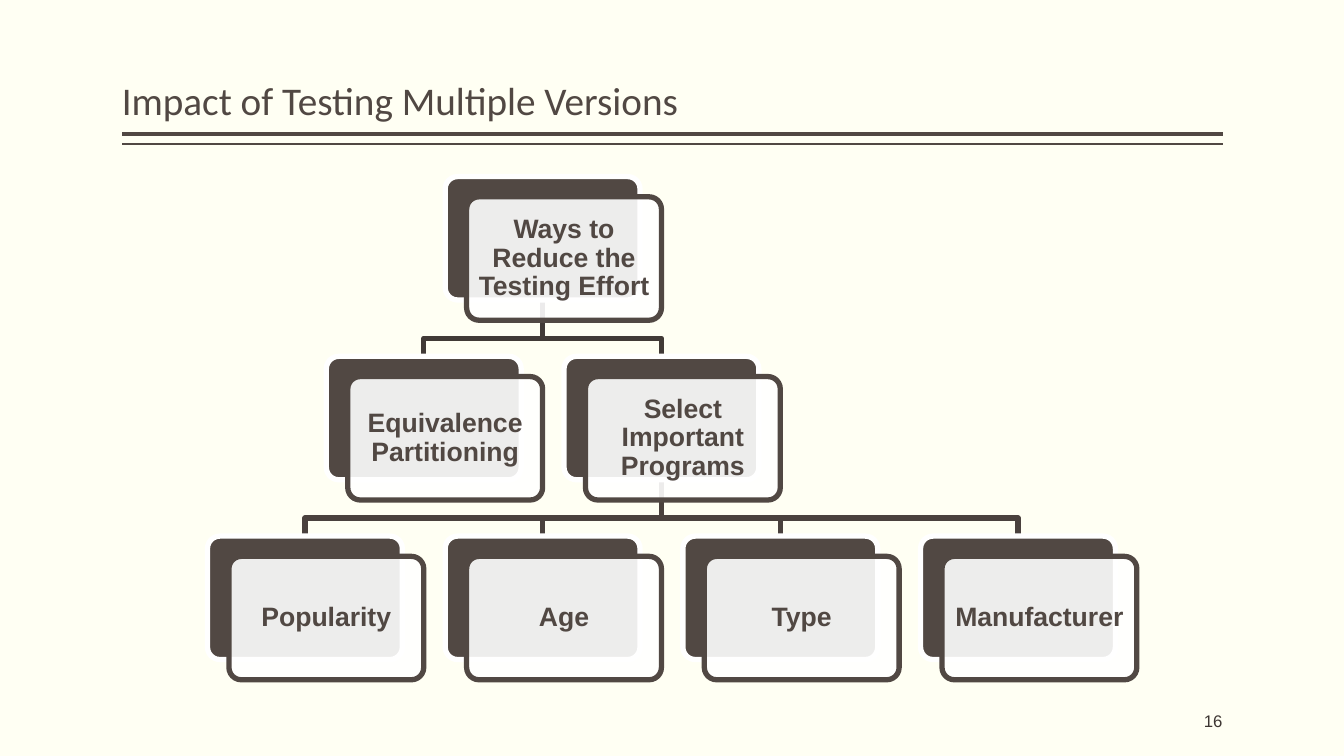
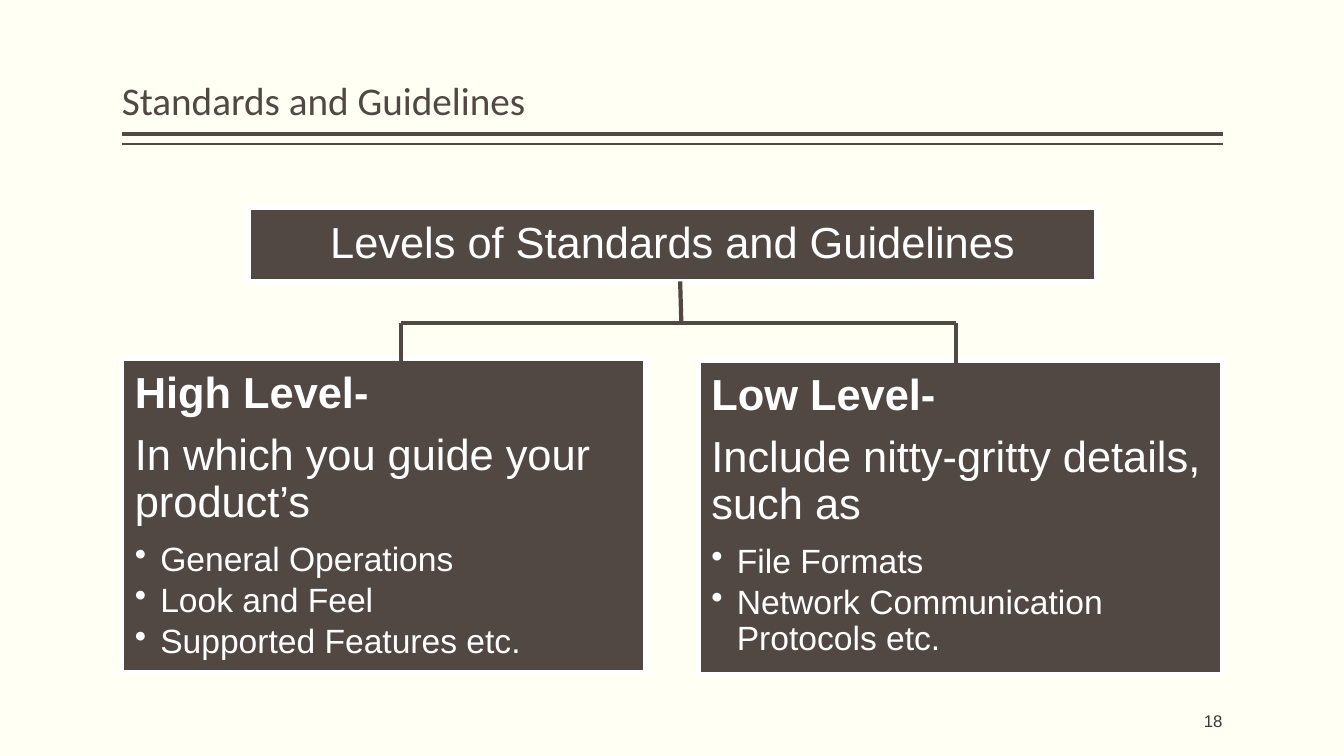
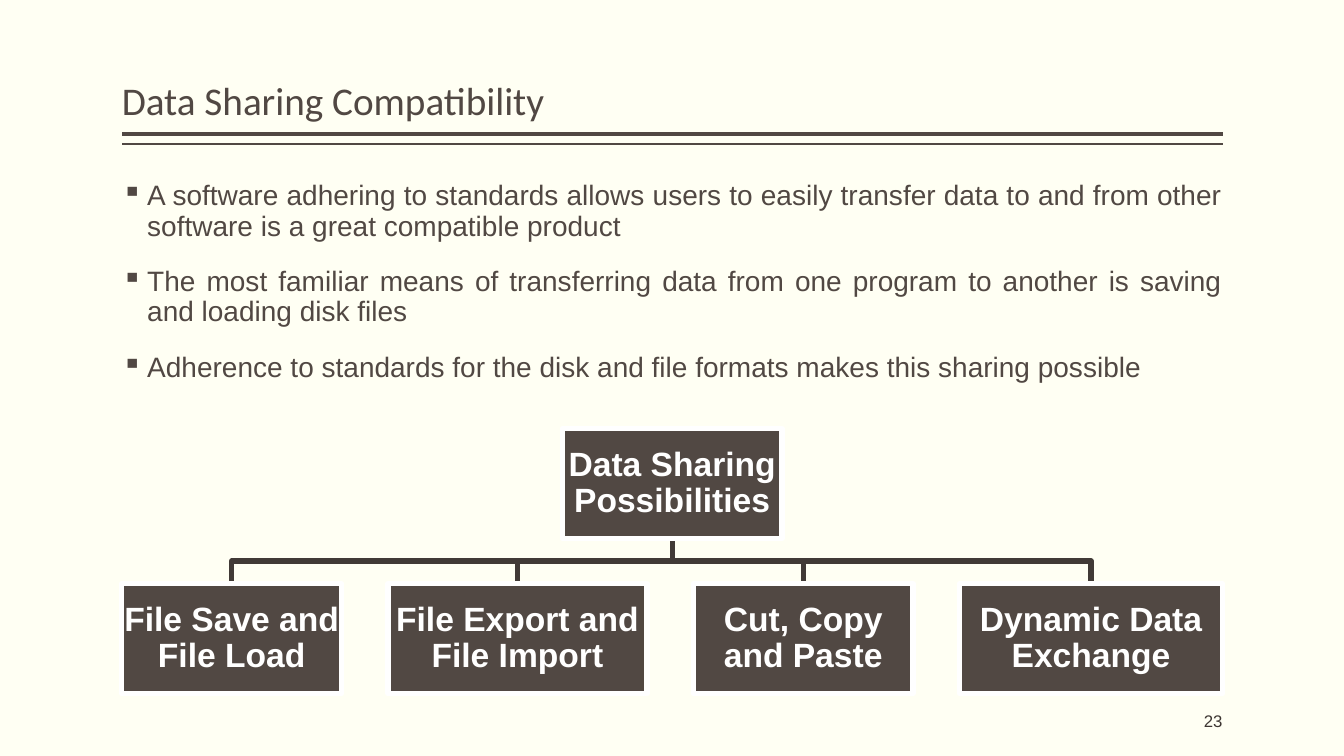
"""Build three slides on compatibility testing with tree diagrams."""
from lxml import etree
from pptx import Presentation
from pptx.dml.color import RGBColor
from pptx.enum.shapes import MSO_CONNECTOR, MSO_SHAPE
from pptx.enum.text import MSO_ANCHOR, PP_ALIGN
from pptx.oxml.ns import qn
from pptx.util import Cm, Pt

LEFT, CENTER, RIGHT, JUSTIFY = PP_ALIGN.LEFT, PP_ALIGN.CENTER, PP_ALIGN.RIGHT, PP_ALIGN.JUSTIFY
TOP, MIDDLE, BOTTOM = MSO_ANCHOR.TOP, MSO_ANCHOR.MIDDLE, MSO_ANCHOR.BOTTOM
RECT, ROUND = MSO_SHAPE.RECTANGLE, MSO_SHAPE.ROUNDED_RECTANGLE
STRAIGHT = MSO_CONNECTOR.STRAIGHT

COLORS = {
    "paper": "FFFFF3", "brown": "514843", "white": "FFFFFF",
    "branch": "413A36", "twig": "4A413D", "number": "3D3632",
}
MARGIN, CONTENT_W = 3.07, 27.74
TREE_LINE = 3.78

EFFORT_TITLE = "Impact of Testing Multiple Versions"
EFFORT_NODES = [
    ("Ways to Reduce the Testing Effort", 1, 0, None),
    ("Equivalence Partitioning", 0.5, 1, 0),
    ("Select Important Programs", 1.5, 1, 0),
    ("Popularity", 0, 2, 2),
    ("Age", 1, 2, 2),
    ("Type", 2, 2, 2),
    ("Manufacturer", 3, 2, 2),
]

LEVELS_TITLE = "Standards and Guidelines"
LEVELS_ROOT = "Levels of Standards and Guidelines"
LEVELS = [
    (MARGIN, 9.02, "High Level-", "In which you guide your product’s",
     ["General Operations", "Look and Feel", "Supported Features etc."]),
    (17.6, 9.07, "Low Level-", "Include nitty-gritty details, such as",
     ["File Formats", "Network Communication Protocols etc."]),
]
LEVEL_LINES = [
    (17.14, 7.09, 17.17, 8.13),
    (10.11, 8.13, 24.1, 8.13),
    (10.11, 8.13, 10.11, 9.14),
    (24.1, 8.13, 24.1, 9.14),
]

SHARING_TITLE = "Data Sharing Compatibility"
SHARING_POINTS = [
    "A software adhering to standards allows users to easily transfer data to and from "
    "other software is a great compatible product",
    "The most familiar means of transferring data from one program to another is saving "
    "and loading disk files",
    "Adherence to standards for the disk and file formats makes this sharing possible",
]
SHARING_ROOT = "Data Sharing Possibilities"
SHARING_WAYS = [
    ("File Save and File Load", 5.54),
    ("File Export and File Import", 6.53),
    ("Cut, Copy and Paste", 5.54),
    ("Dynamic Data Exchange", 6.63),
]


def rgb(name):
    return RGBColor.from_string(COLORS[name])


def write(sp, paras, anchor=MIDDLE, inset=(0, 0.13), **fmt):
    """Fill a shape with paragraphs, each a string or a (string, overrides) pair."""
    base = dict(size=20, color="brown", font="Arial", bold=False, align=LEFT,
                spacing=0.9, before=0, after=0, bullet=None)
    tf = sp.text_frame
    tf.word_wrap = True
    tf.vertical_anchor = anchor
    tf.margin_left = tf.margin_right = Cm(inset[0])
    tf.margin_top = tf.margin_bottom = Cm(inset[1])
    for i, para in enumerate(paras):
        text, extra = (para, {}) if isinstance(para, str) else para
        f = {**base, **fmt, **extra}
        p = tf.add_paragraph() if i else tf.paragraphs[0]
        if f["bullet"]:
            pPr = p._p.get_or_add_pPr()
            pPr.set("marL", str(Cm(0.64)))
            pPr.set("indent", str(-Cm(0.64)))
            etree.SubElement(pPr, qn("a:buChar")).set("char", f["bullet"])
        p.alignment = f["align"]
        p.line_spacing = f["spacing"]
        p.space_before = Pt(f["before"] if i else 0)
        p.space_after = Pt(f["after"])
        r = p.add_run()
        r.text = text
        r.font.name, r.font.size, r.font.bold = f["font"], Pt(f["size"]), f["bold"]
        r.font.color.rgb = rgb(f["color"])


def add_text(s, x, y, w, h, paras, **fmt):
    write(s.shapes.add_textbox(Cm(x), Cm(y), Cm(w), Cm(h)), paras, **fmt)


def add_box(s, kind, x, y, w, h, fill="brown", line="white"):
    sp = s.shapes.add_shape(kind, Cm(x), Cm(y), Cm(w), Cm(h))
    sp.shadow.inherit = False
    sp.fill.solid()
    sp.fill.fore_color.rgb = rgb(fill)
    sp.line.color.rgb = rgb(line)
    sp.line.width = Pt(TREE_LINE)
    return sp


def add_line(s, x1, y1, x2, y2, width):
    c = s.shapes.add_connector(STRAIGHT, Cm(x1), Cm(y1), Cm(x2), Cm(y2))
    c.line.color.rgb = rgb("brown")
    c.line.width = Pt(width)
    etree.SubElement(c._element.spPr, qn("a:effectLst"))


def add_elbow(s, x1, y1, x2, y2, bend, color):
    """Draw a branch that leaves downwards and turns at the given share of the drop."""
    turn = y1 + bend * (y2 - y1)
    points = [(Cm(x), Cm(y)) for x, y in ((x1, turn), (x2, turn), (x2, y2))]
    fb = s.shapes.build_freeform(Cm(x1), Cm(y1))
    fb.add_line_segments(points, close=False)
    sp = fb.convert_to_shape()
    sp.shadow.inherit = False
    sp.fill.background()
    sp.line.color.rgb = rgb(color)
    sp.line.width = Pt(TREE_LINE)


def new_slide(prs, title, number):
    s = prs.slides.add_slide(prs.slide_layouts[6])
    for y, width in ((3.38, 3), (3.63, 1)):
        add_line(s, MARGIN + CONTENT_W, y, MARGIN, y, width)
    add_text(s, MARGIN, 0.2, CONTENT_W, 3.05, [title], anchor=BOTTOM, size=28, font="Calibri")
    add_text(s, 25.7, 17.65, 5.11, 1.02, [str(number)], size=12, color="number",
             align=RIGHT, spacing=1)
    return s


def effort_slide(prs):
    s = new_slide(prs, EFFORT_TITLE, 16)
    w, h, dx, dy = 4.91, 3.11, 0.54, 0.51
    corners = [(5.23 + 5.99 * col, 4.45 + 4.53 * row) for _, col, row, _ in EFFORT_NODES]
    for (_, _, row, parent), (x, y) in zip(EFFORT_NODES, corners):
        if parent is not None:
            px, py = corners[parent]
            add_elbow(s, px + w / 2, py + h, x + w / 2, y, 0.68,
                      "branch" if row == 1 else "twig")
    for (text, *_), (x, y) in zip(EFFORT_NODES, corners):
        back = add_box(s, ROUND, x, y, w, h)
        front = add_box(s, ROUND, x + dx, y + dy, w, h, "white", "brown")
        back.adjustments[0] = front.adjustments[0] = 0.1
        tint = front._element.spPr.find(qn("a:solidFill"))[0]
        etree.SubElement(tint, qn("a:alpha")).set("val", "90000")
        write(front, [text], inset=(0.19, 0.19), size=19, bold=True, align=CENTER)


def levels_slide(prs):
    s = new_slide(prs, LEVELS_TITLE, 18)
    fmt = dict(size=31, color="white", inset=(0.33, 0.33))
    write(add_box(s, RECT, 6.25, 5.23, 21.39, 1.88), [LEVELS_ROOT], align=CENTER, **fmt)
    for x, y, head, intro, points in LEVELS:
        paras = [(head, dict(bold=True, after=10.85)), (intro, dict(after=10.85))]
        paras += [(t, dict(size=24, bullet="•", after=3.6)) for t in points]
        write(add_box(s, RECT, x, y, 13.21, 7.92), paras, anchor=TOP, **fmt)
    for ends in LEVEL_LINES:
        add_line(s, *ends, 3)


def sharing_slide(prs):
    s = new_slide(prs, SHARING_TITLE, 23)
    add_text(s, MARGIN, 4.45, CONTENT_W, 6, SHARING_POINTS, anchor=TOP, align=JUSTIFY,
             before=18, bullet="▪")
    root_x, root_y, root_w, h, way_y = 14.17, 10.8, 5.54, 2.77, 14.71
    gap = (CONTENT_W - sum(w for _, w in SHARING_WAYS)) / (len(SHARING_WAYS) - 1)
    boxes, x = [(SHARING_ROOT, root_x, root_y, root_w)], MARGIN
    for text, w in SHARING_WAYS:
        boxes.append((text, x, way_y, w))
        add_elbow(s, root_x + root_w / 2, root_y + h, x + w / 2, way_y, 0.5, "branch")
        x += w + gap
    for text, x, y, w in boxes:
        write(add_box(s, RECT, x, y, w, h), [text], inset=(0.04, 0.04), size=24,
              color="white", bold=True, align=CENTER)


def main():
    prs = Presentation()
    prs.slide_width, prs.slide_height = Cm(33.87), Cm(19.05)
    fill = prs.slide_master.background.fill
    fill.solid()
    fill.fore_color.rgb = rgb("paper")
    effort_slide(prs)
    levels_slide(prs)
    sharing_slide(prs)
    prs.save("out.pptx")


if __name__ == "__main__":
    main()
